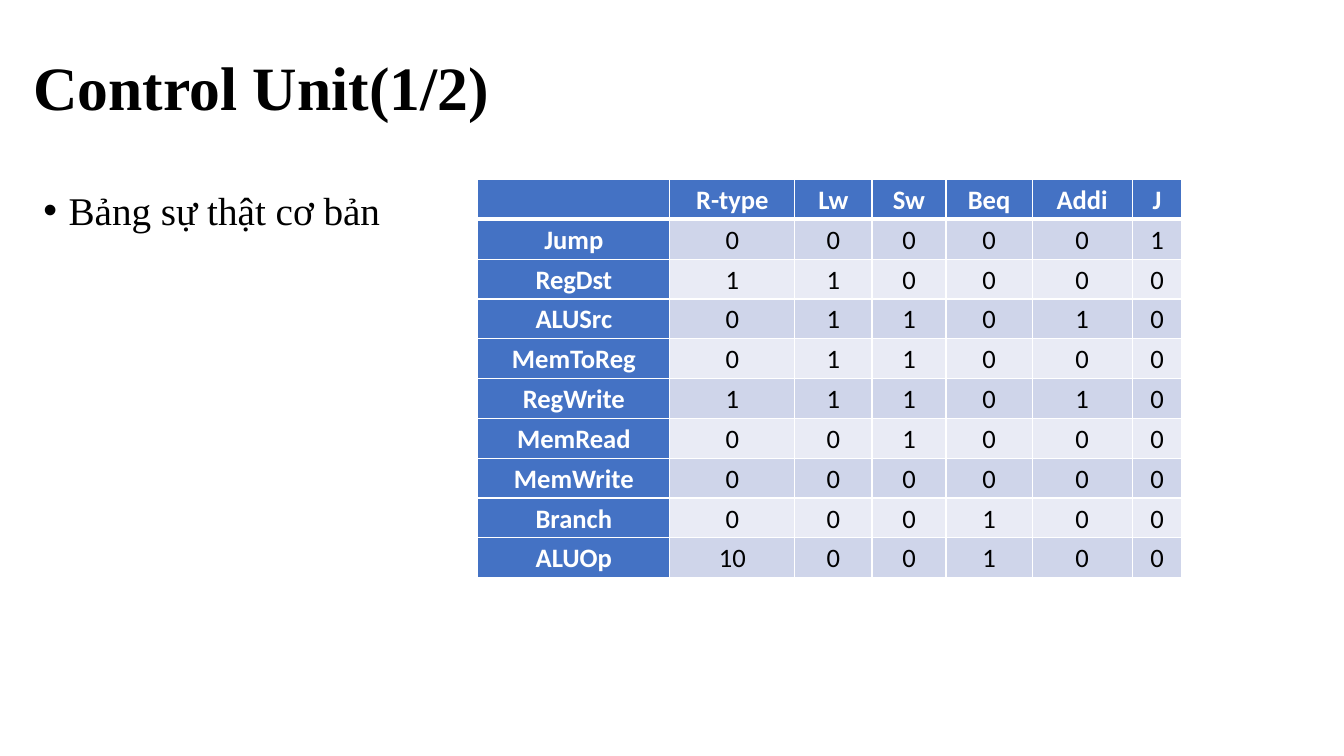
from lxml.etree import SubElement
from pptx import Presentation
from pptx.dml.color import RGBColor
from pptx.enum.text import MSO_ANCHOR, MSO_AUTO_SIZE, PP_ALIGN
from pptx.oxml.ns import qn
from pptx.util import Pt

WHITE, BLACK, BLUE = "FFFFFF", "000000", "4472C4"
BANDS = ["E9EBF5", "CFD5EA"]


def style(p, size, font, color, bold, spacing, align):
    p.font.size = Pt(size)
    p.font.name = font
    p.font.color.rgb = RGBColor.from_string(color)
    p.font.bold = bold
    p.line_spacing = spacing
    p.alignment = align


def add_border(cell, side, width):
    ln = SubElement(cell._tc.get_or_add_tcPr(), qn(f"a:ln{side}"), w=str(Pt(width)))
    fill = SubElement(ln, qn("a:solidFill"))
    SubElement(fill, qn("a:srgbClr"), val=WHITE)


prs = Presentation()
prs.slide_width, prs.slide_height = Pt(960), Pt(540)
s = prs.slides.add_slide(prs.slide_layouts[1])
title, body = s.placeholders

# Title and bullet
for sp, text, box, size, bold, anchor in [
    (title, "Control Unit(1/2)", (16.6, 12.2, 828, 104.4), 44, True, MSO_ANCHOR.MIDDLE),
    (body, "Bảng sự thật cơ bản", (23.8, 133.2, 828, 342.7), 28, False, MSO_ANCHOR.TOP),
]:
    sp.left, sp.top, sp.width, sp.height = [Pt(v) for v in box]
    tf = sp.text_frame
    tf.text = text
    tf.auto_size = MSO_AUTO_SIZE.NONE
    tf.vertical_anchor = anchor
    style(tf.paragraphs[0], size, "Times New Roman", BLACK, bold, 0.9, PP_ALIGN.LEFT)

p = body.text_frame.paragraphs[0]
p.space_before = Pt(10)
pPr = p._p.get_or_add_pPr()
pPr.set("marL", str(Pt(18)))
pPr.set("indent", str(Pt(-18)))

# Truth table
rows = [
    ["", "R-type", "Lw", "Sw", "Beq", "Addi", "J"],
    ["Jump", 0, 0, 0, 0, 0, 1],
    ["RegDst", 1, 1, 0, 0, 0, 0],
    ["ALUSrc", 0, 1, 1, 0, 1, 0],
    ["MemToReg", 0, 1, 1, 0, 0, 0],
    ["RegWrite", 1, 1, 1, 0, 1, 0],
    ["MemRead", 0, 0, 1, 0, 0, 0],
    ["MemWrite", 0, 0, 0, 0, 0, 0],
    ["Branch", 0, 0, 0, 1, 0, 0],
    ["ALUOp", 10, 0, 0, 1, 0, 0],
]
widths = [137.2, 89.3, 55.1, 52.9, 61.5, 71.6, 35.3]
table = s.shapes.add_table(len(rows), len(widths), Pt(341.3), Pt(128.2),
                           Pt(sum(widths)), Pt(284.4)).table
table.first_col = True
for column, width in zip(table.columns, widths):
    column.width = Pt(width)

for i, row in enumerate(rows):
    for j, value in enumerate(row):
        cell = table.cell(i, j)
        header = i == 0 or j == 0
        cell.text = str(value)
        cell.vertical_anchor = MSO_ANCHOR.MIDDLE
        cell.margin_left = cell.margin_right = Pt(5)
        cell.margin_top = cell.margin_bottom = 0
        for side in "LRTB":
            under_header = (i, side) in [(0, "B"), (1, "T")]
            add_border(cell, side, 3 if under_header else 1)
        cell.fill.solid()
        cell.fill.fore_color.rgb = RGBColor.from_string(BLUE if header else BANDS[i % 2])
        style(cell.text_frame.paragraphs[0], 19, "Calibri", WHITE if header else BLACK,
              header, 1.07, PP_ALIGN.CENTER)

prs.save("out.pptx")
